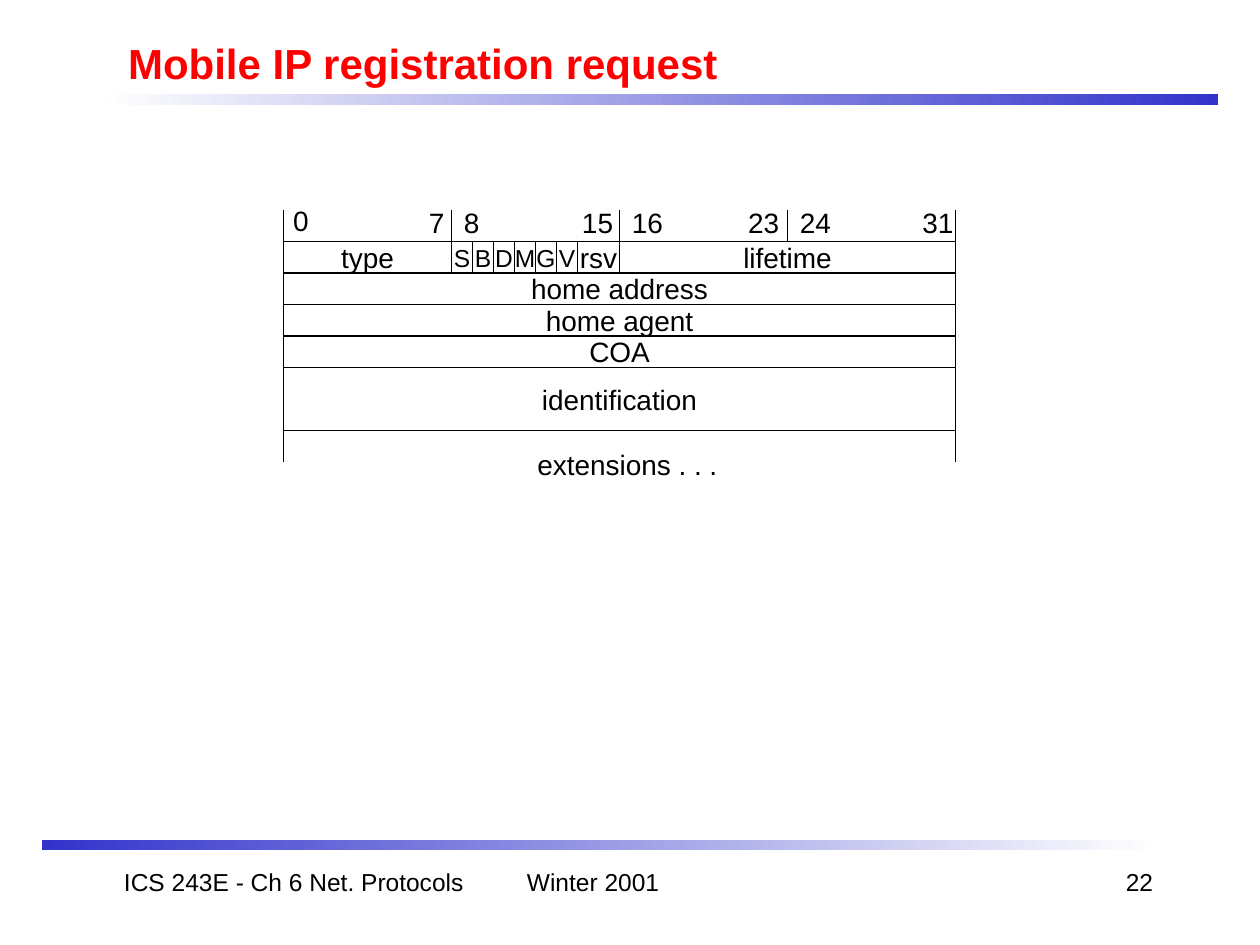
import pptx
import pptx.util
import pptx.dml.color
import pptx.enum.shapes
import pptx.enum.text
import pptx.oxml

Pt = pptx.util.Pt
RGBColor = pptx.dml.color.RGBColor
ALIGN = pptx.enum.text.PP_ALIGN
ANCHOR = pptx.enum.text.MSO_ANCHOR
RECTANGLE = pptx.enum.shapes.MSO_SHAPE.RECTANGLE

BLACK = RGBColor(0x00, 0x00, 0x00)
WHITE = RGBColor(0xFF, 0xFF, 0xFF)
RED = RGBColor(0xFF, 0x00, 0x00)
BLUE = RGBColor(0x33, 0x33, 0xCC)
PALE = RGBColor(0xFE, 0xFE, 0xFE)

# Packet grid: 32 bits wide, header scale above the first row
LEFT, TOP = 162, 138
BIT, ROW = 12, 18
WORD = 32 * BIT

presentation = pptx.Presentation()
presentation.slide_width = Pt(720)
presentation.slide_height = Pt(540)
slide = presentation.slides.add_slide(presentation.slide_layouts[5])
shapes = slide.shapes


def add_label(text, left, top, width, height, size=16, align=ALIGN.LEFT, wrap=False):
    label = shapes.add_textbox(Pt(left), Pt(top), Pt(width), Pt(height))
    label.text_frame.word_wrap = wrap
    paragraph = label.text_frame.paragraphs[0]
    paragraph.text = text
    paragraph.alignment = align
    paragraph.font.name = "Arial"
    paragraph.font.size = Pt(size)
    paragraph.font.color.rgb = BLACK
    return label


def add_field(parent, text, first_bit, bits, row, rows=1, size=16):
    field = parent.add_shape(RECTANGLE, Pt(LEFT + first_bit * BIT), Pt(TOP + row * ROW),
                             Pt(bits * BIT), Pt(rows * ROW))
    field.shadow.inherit = False
    field.fill.solid()
    field.fill.fore_color.rgb = WHITE
    field.line.color.rgb = BLACK
    field.line.width = Pt(0.75)
    field.text_frame.word_wrap = False
    field.text_frame.vertical_anchor = ANCHOR.MIDDLE
    paragraph = field.text_frame.paragraphs[0]
    paragraph.text = text
    paragraph.alignment = ALIGN.CENTER
    paragraph.font.name = "Arial"
    paragraph.font.size = Pt(size)
    paragraph.font.color.rgb = BLACK


# Gradient rules under the title and above the footer
for left, top, colors in [(60, 54, (BLUE, PALE)), (24, 480, (PALE, BLUE))]:
    rule = shapes.add_shape(RECTANGLE, Pt(left), Pt(top), Pt(636), Pt(6))
    rule.shadow.inherit = False
    rule.line.fill.background()
    rule.fill.gradient()
    rule.fill.gradient_angle = 180
    for stop, color in zip(rule.fill.gradient_stops, colors):
        stop.color.rgb = color

# Title
title = shapes.title
title.left, title.top, title.width, title.height = Pt(66), Pt(18), Pt(612), Pt(36)
title.text_frame.text = "Mobile IP registration request"
title.text_frame.vertical_anchor = ANCHOR.MIDDLE
title_line = title.text_frame.paragraphs[0]
title_line.alignment = ALIGN.LEFT
title_line.font.name = "Arial"
title_line.font.size = Pt(24)
title_line.font.bold = True
title_line.font.color.rgb = RED

# Bit numbers
for number, left, top in [("0", 160.5, 113), ("7", 238, 114), ("8", 258, 114),
                          ("15", 325.5, 114), ("16", 354, 114), ("23", 420.5, 114),
                          ("24", 450, 114), ("31", 520, 114)]:
    bit_number = add_label(number, left, top, 14.4 + 8.9 * len(number), 26.6)
    if number == "8":
        bit_number.fill.solid()
        bit_number.fill.fore_color.rgb = WHITE

# Packet fields: text, first bit, bits, row, rows
for field in [("type", 0, 8, 0, 1), ("rsv", 14, 2, 0, 1), ("lifetime", 16, 16, 0, 1),
              ("home address", 0, 32, 1, 1), ("home agent", 0, 32, 2, 1),
              ("COA", 0, 32, 3, 1), ("identification", 0, 32, 4, 2)]:
    add_field(shapes, *field)

# One-bit flags
flags = shapes.add_group_shape()
for index, flag in enumerate("SBDMGV"):
    add_field(flags.shapes, flag, 8 + index, 1, 0, size=14)

# Byte ticks above the fields, open sides below them
ticks = [(LEFT + byte * 8 * BIT, TOP - ROW) for byte in range(5)]
open_sides = [(LEFT, TOP + 6 * ROW), (LEFT + WORD, TOP + 6 * ROW)]
for x, y in ticks + open_sides:
    edge = shapes.add_connector(pptx.enum.shapes.MSO_CONNECTOR.STRAIGHT,
                                Pt(x), Pt(y), Pt(x), Pt(y + ROW))
    edge.line.color.rgb = BLACK
    edge.line.width = Pt(0.75)
    edge.element.spPr.append(pptx.oxml.parse_xml(
        '<a:effectLst xmlns:a="http://schemas.openxmlformats.org/drawingml/2006/main"/>'))

add_label("extensions . . .", 300, 252, 121.7, 26.6)

# Footer
for text, left, width, align in [("ICS 243E - Ch 6 Net. Protocols", 54, 228, ALIGN.CENTER),
                                 ("Winter 2001", 294, 150, ALIGN.LEFT),
                                 ("22", 516, 150, ALIGN.RIGHT)]:
    add_label(text, left, 492, width, 36, size=14, align=align, wrap=True)

presentation.save("out.pptx")
